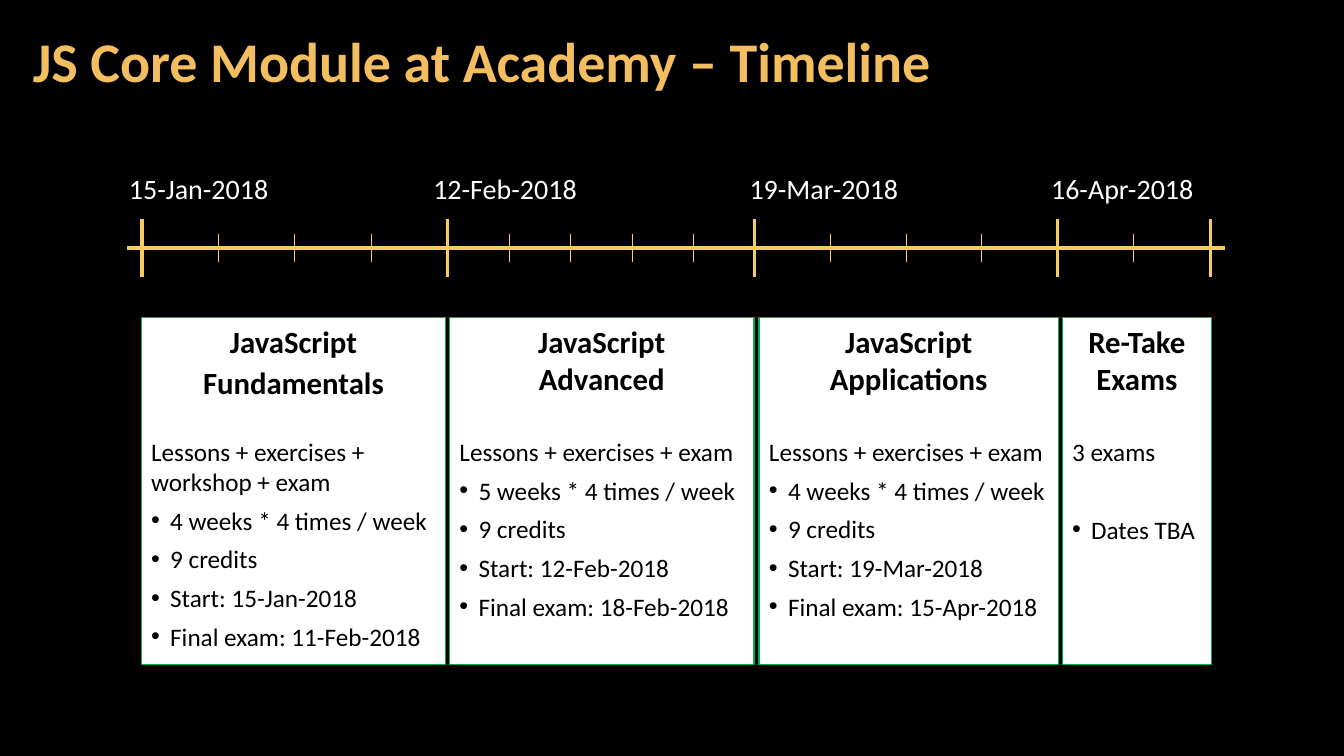
from dataclasses import dataclass
from itertools import pairwise

from lxml import etree
from pptx import Presentation
from pptx.dml.color import RGBColor
from pptx.enum.shapes import MSO_CONNECTOR, MSO_SHAPE
from pptx.enum.text import MSO_ANCHOR, PP_ALIGN
from pptx.oxml.ns import qn
from pptx.util import Cm, Pt

STRAIGHT = MSO_CONNECTOR.STRAIGHT
RECTANGLE = MSO_SHAPE.RECTANGLE
TOP, MIDDLE = MSO_ANCHOR.TOP, MSO_ANCHOR.MIDDLE
LEFT, CENTER = PP_ALIGN.LEFT, PP_ALIGN.CENTER

FONT = "Calibri"
BLACK, WHITE = "000000", "FFFFFF"
TITLE_GOLD, LINE_GOLD, GREEN = "F3BE60", "F3CD60", "00B050"

AXIS_Y = 6.25
AXIS_START, AXIS_END = 3.2, 30.86
MAJOR_HALF, MINOR_HALF = 0.72, 0.36
TIMELINE_END = 30.5
CARD_TOP, CARD_HEIGHT = 8.0, 8.74
BULLET_INDENT = 0.48
INTRO_GAP, BULLET_GAP = 25.5, 6


@dataclass
class Stage:
    date: str
    date_left: float
    tick: float
    segments: int
    card_left: float
    card_width: float
    headings: list[str]
    intro: str
    bullets: list[str]
    first_bullet_gap: float = BULLET_GAP


STAGES = [
    Stage("15-Jan-2018", 3.0, 3.58, 4, 3.56, 7.67,
          ["JavaScript", "Fundamentals"],
          "Lessons + exercises + workshop + exam",
          ["4 weeks * 4 times / week", "9 credits",
           "Start: 15-Jan-2018", "Final exam: 11-Feb-2018"]),
    Stage("12-Feb-2018", 10.67, 11.28, 5, 11.33, 7.67,
          ["JavaScript\vAdvanced"],
          "Lessons + exercises + exam",
          ["5 weeks * 4 times / week", "9 credits",
           "Start: 12-Feb-2018", "Final exam: 18-Feb-2018"]),
    Stage("19-Mar-2018", 18.64, 19.02, 4, 19.13, 7.54,
          ["JavaScript Applications"],
          "Lessons + exercises + exam",
          ["4 weeks * 4 times / week", "9 credits",
           "Start: 19-Mar-2018", "Final exam: 15-Apr-2018"]),
    Stage("16-Apr-2018", 26.24, 26.64, 2, 26.77, 3.76,
          ["Re-Take Exams"], "3 exams", ["Dates TBA"], 34),
]


def color(value: str) -> RGBColor:
    return RGBColor.from_string(value)


def add_bullet(para) -> None:
    properties = para._p.get_or_add_pPr()
    properties.set("marL", str(Cm(BULLET_INDENT)))
    properties.set("indent", str(-Cm(BULLET_INDENT)))
    etree.SubElement(properties, qn("a:buFont")).set("typeface", "Arial")
    etree.SubElement(properties, qn("a:buChar")).set("char", "•")


def write(frame, text: str, *, size: float, ink: str, bold: bool = False,
          align=LEFT, before: float = 0, after: float = 0,
          line_spacing: float = 1.0, bullet: bool = False) -> None:
    """Fill the frame's first paragraph, or append one when it has text."""
    para = frame.add_paragraph() if frame.text else frame.paragraphs[0]
    para.text = text
    para.alignment = align
    para.line_spacing = line_spacing
    para.space_before, para.space_after = Pt(before), Pt(after)
    if bullet:
        add_bullet(para)
    for span in para.runs:
        span.font.name = FONT
        span.font.size = Pt(size)
        span.font.bold = bold
        span.font.color.rgb = color(ink)


def add_label(page, left: float, top: float, width: float, height: float):
    box = page.shapes.add_textbox(Cm(left), Cm(top), Cm(width), Cm(height))
    box.text_frame.word_wrap = True
    return box.text_frame


def add_line(page, x1: float, y1: float, x2: float, y2: float,
             weight: float) -> None:
    line = page.shapes.add_connector(STRAIGHT, Cm(x1), Cm(y1), Cm(x2), Cm(y2))
    line.line.color.rgb = color(LINE_GOLD)
    line.line.width = Pt(weight)
    etree.SubElement(line._element.spPr, qn("a:effectLst"))


def add_tick(page, x: float, half: float, weight: float) -> None:
    add_line(page, x, AXIS_Y - half, x, AXIS_Y + half, weight)


def add_title(page) -> None:
    frame = add_label(page, 0.53, 0.1, 26.59, 3.07)
    frame.vertical_anchor = MIDDLE
    frame.margin_left = frame.margin_right = Cm(0.3)
    frame.margin_top = frame.margin_bottom = Cm(0.1)
    write(frame, "JS Core Module at Academy – Timeline", size=40,
          ink=TITLE_GOLD, bold=True, line_spacing=0.9)


def add_timeline(page) -> None:
    add_line(page, AXIS_START, AXIS_Y, AXIS_END, AXIS_Y, 2.25)
    ticks = [stage.tick for stage in STAGES] + [TIMELINE_END]
    for stage, (start, end) in zip(STAGES, pairwise(ticks)):
        step = (end - start) / stage.segments
        for index in range(1, stage.segments):
            add_tick(page, start + index * step, MINOR_HALF, 0.5)
        frame = add_label(page, stage.date_left, 4.19, 4.4, 1.12)
        write(frame, stage.date, size=20, ink=WHITE)
    for tick in ticks:
        add_tick(page, tick, MAJOR_HALF, 2.25)


def add_card(page, stage: Stage) -> None:
    card = page.shapes.add_shape(
        RECTANGLE, Cm(stage.card_left), Cm(CARD_TOP),
        Cm(stage.card_width), Cm(CARD_HEIGHT))
    card.shadow.inherit = False
    card.fill.solid()
    card.fill.fore_color.rgb = color(WHITE)
    card.line.color.rgb = color(GREEN)
    card.line.width = Pt(1)
    frame = card.text_frame
    frame.word_wrap = True
    frame.vertical_anchor = TOP
    for index, heading in enumerate(stage.headings):
        write(frame, heading, size=22, ink=BLACK, bold=True, align=CENTER,
              after=0 if index else 3)
    write(frame, stage.intro, size=18, ink=BLACK, before=INTRO_GAP)
    for index, bullet in enumerate(stage.bullets):
        write(frame, bullet, size=18, ink=BLACK, bullet=True,
              before=BULLET_GAP if index else stage.first_bullet_gap)


def main() -> None:
    deck = Presentation()
    deck.slide_width, deck.slide_height = Cm(33.87), Cm(19.05)
    page = deck.slides.add_slide(deck.slide_layouts[6])
    page.background.fill.solid()
    page.background.fill.fore_color.rgb = color(BLACK)
    add_title(page)
    add_timeline(page)
    for stage in STAGES:
        add_card(page, stage)
    deck.save("out.pptx")


if __name__ == "__main__":
    main()
